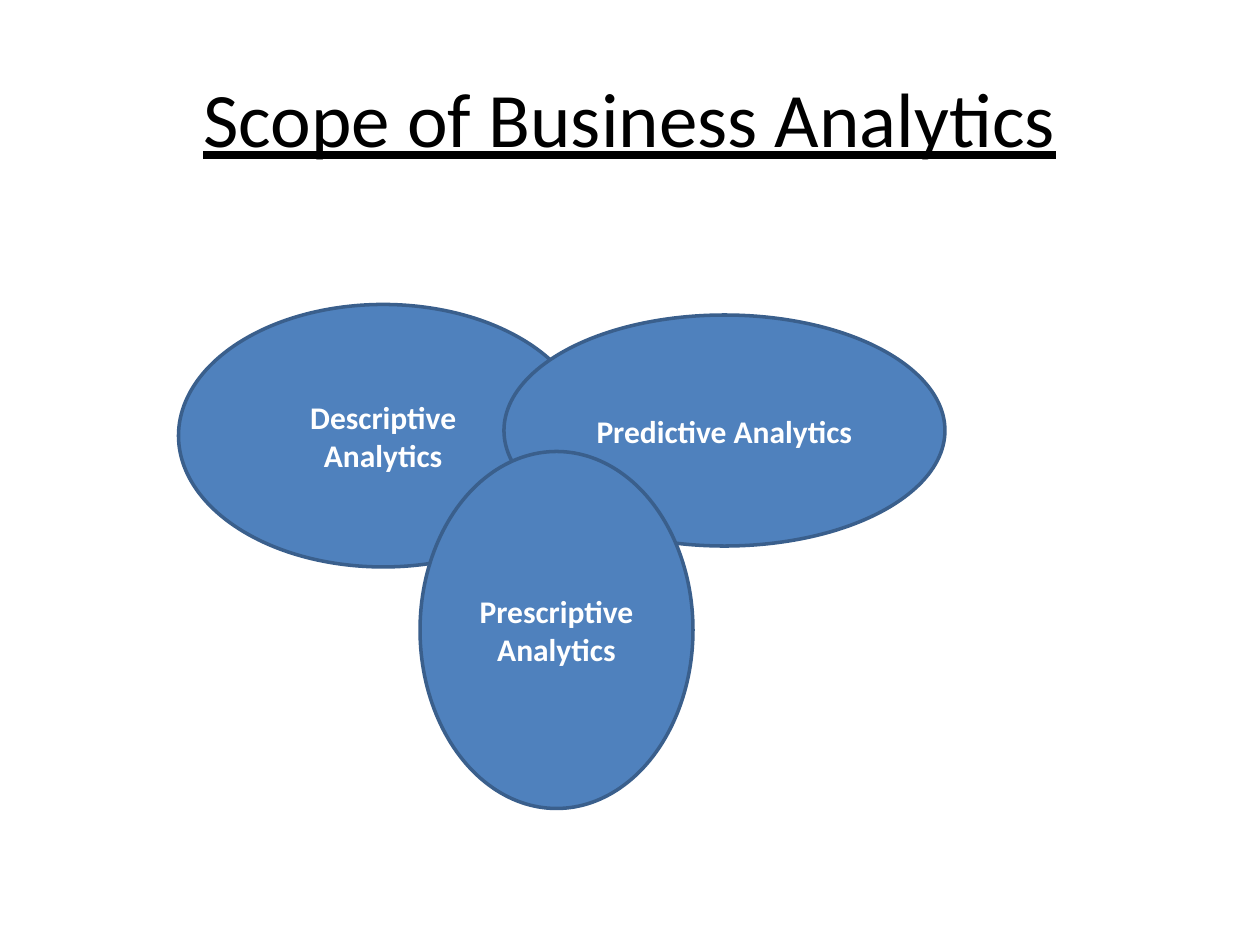
from pptx import Presentation
from pptx import util as u
from pptx.dml import color
from pptx.enum import shapes, text

COLORS = {"fill": "4F81BD", "line": "3A5F8C", "title": "000000", "label": "FFFFFF"}


def write(shape, words, size, tint):
    """Put one centred line of words in the shape and return its font."""
    frame = shape.text_frame
    frame.word_wrap = True
    frame.vertical_anchor = text.MSO_ANCHOR.MIDDLE
    para = frame.paragraphs[0]
    para.text = words
    para.alignment = text.PP_ALIGN.CENTER
    font = para.font
    font.name = "Calibri"
    font.size = u.Pt(size)
    font.color.rgb = color.RGBColor.from_string(COLORS[tint])
    return font


deck = Presentation()
deck.slide_width, deck.slide_height = u.Pt(720), u.Pt(540)
slide = deck.slides.add_slide(deck.slide_layouts[6])

title = slide.shapes.add_textbox(u.Pt(36), u.Pt(21.6), u.Pt(648), u.Pt(90))
write(title, "Scope of Business Analytics", 44, "title").underline = True

# Overlapping ovals, back to front: label, left, top, width, height
ovals = [
    ("Descriptive Analytics", 102, 174, 234, 150),
    ("Predictive Analytics", 288, 180, 252, 132),
    ("Prescriptive Analytics", 240, 258, 156, 204),
]
for label, *box in ovals:
    oval = slide.shapes.add_shape(shapes.MSO_SHAPE.OVAL, *map(u.Pt, box))
    oval.shadow.inherit = False
    oval.fill.solid()
    oval.fill.fore_color.rgb = color.RGBColor.from_string(COLORS["fill"])
    oval.line.color.rgb = color.RGBColor.from_string(COLORS["line"])
    oval.line.width = u.Pt(2)
    write(oval, label, 18, "label").bold = True

deck.save("out.pptx")
